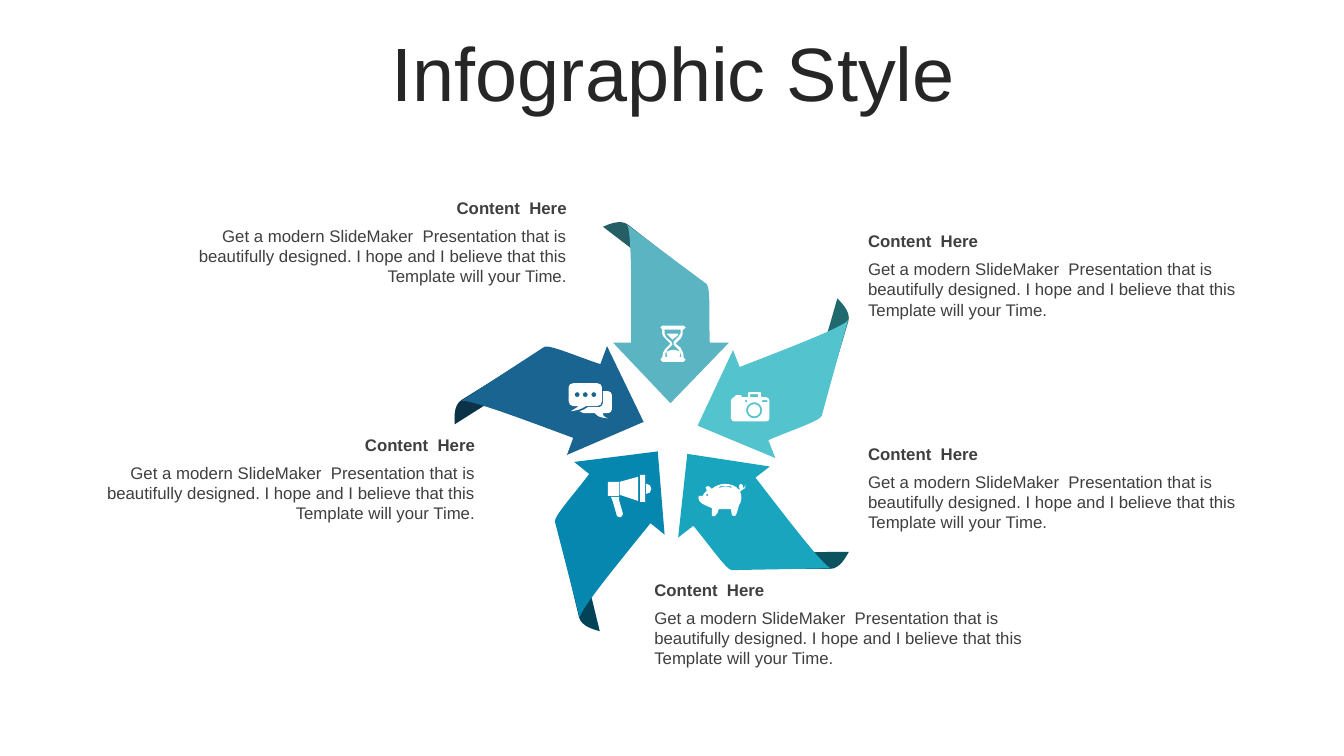
import math
from lxml import etree
from pptx import Presentation
from pptx.dml.color import RGBColor
from pptx.enum import text
from pptx.oxml.ns import qn
from pptx.util import Inches, Pt

# ---- Content ----
TITLE = "Infographic Style"
HEADING = "Content  Here"
BODY = ("Get a modern SlideMaker  Presentation that is beautifully designed. "
        "I hope and I believe that this Template will your Time.")

WHITE = RGBColor(0xFF, 0xFF, 0xFF)
TITLE_INK = RGBColor(0x26, 0x26, 0x26)
TEXT_INK = RGBColor(0x3F, 0x3F, 0x3F)
LEFT, RIGHT, CENTER = text.PP_ALIGN.LEFT, text.PP_ALIGN.RIGHT, text.PP_ALIGN.CENTER

# Left, top, width (inches) and alignment of each heading with its text
CAPTIONS = [
    (8.61, 2.24, 3.77, LEFT),
    (8.61, 4.35, 3.77, LEFT),
    (1.9, 1.91, 3.82, RIGHT),
    (0.99, 4.26, 3.82, RIGHT),
    (6.49, 5.7, 3.77, LEFT),
]

# Left, top (inches) before turning, angle, arrow colour, fold colour
VANES = [
    (6.08, 2.23, 0, RGBColor(0x5A, 0xB4, 0xC1), RGBColor(0x26, 0x5E, 0x66)),
    (7.17, 3.02, 68.6, RGBColor(0x53, 0xC3, 0xCD), RGBColor(0x20, 0x69, 0x6F)),
    (6.78, 4.32, 142.2, RGBColor(0x19, 0xA5, 0xBE), RGBColor(0x0C, 0x52, 0x5F)),
    (5.39, 4.28, 218.8, RGBColor(0x05, 0x87, 0xAF), RGBColor(0x02, 0x43, 0x57)),
    (4.98, 2.99, 290.2, RGBColor(0x19, 0x64, 0x91), RGBColor(0x0C, 0x32, 0x48)),
]


def rect(x, y, w, h):
    return [(x, y), (x + w, y), (x + w, y + h), (x, y + h)]


def circle(x, y, r):
    k = 0.55 * r
    return [(x, y - r), (x + k, y - r, x + r, y - k, x + r, y),
            (x + r, y + k, x + k, y + r, x, y + r),
            (x - k, y + r, x - r, y + k, x - r, y),
            (x - r, y - k, x - k, y - r, x, y - r)]


# Outlines in hundredths of an inch: two numbers are a point, six are a curve
PIVOT = (57.5, 88.5)
ARROW = [(14, 0), (93, 59), (97, 63, 95, 97, 96, 117), (115, 117), (57, 177),
         (0, 117), (18, 117), (18, 79, 19, 6, 14, 0)]
FOLD = [(15, 0), (7, -6, -5, 0, -10, 2), (71, 64), (92, 60)]

CHAT = [
    circle(25, 11.5, 2.5), circle(16.5, 11.5, 2.5), circle(8.5, 11.5, 2.5),
    [(34, 8), (39, 8), (41, 8, 43, 10, 43, 12), (43, 26), (43, 28, 41, 30, 39, 30),
     (34, 30), (34, 32, 34, 33, 39, 35), (31, 34, 30, 34, 26, 30), (15, 30),
     (11, 28), (14, 27, 16, 26, 19, 24), (30, 24), (32, 24, 34, 22, 34, 20)],
    [(5, 0), (28, 0), (31, 0, 33, 2, 33, 4), (33, 18), (33, 21, 31, 23, 28, 23),
     (17, 23), (12, 26, 10, 27, 2, 28), (7, 25, 7, 25, 10, 23), (5, 23),
     (2, 23, 0, 21, 0, 18), (0, 4), (0, 2, 2, 0, 5, 0)],
]
HOURGLASS = [
    [(13, 24), (15, 24, 17, 25, 19, 26), (20, 27, 20, 29, 19, 31), (7, 31),
     (6, 29, 6, 27, 6, 26), (9, 25, 11, 24, 13, 24)],
    [(6, 8), (18, 8), (17, 10), (12, 14), (8, 10)],
    [(4, 4), (4, 7, 4, 10, 6, 12), (11, 16), (12, 19), (7, 24), (5, 26, 4, 29, 5, 31),
     (21, 31), (21, 29, 20, 26, 18, 24), (13, 19), (13, 16), (18, 11),
     (20, 9, 21, 6, 20, 4)],
    [(2, 0), (23, 0), (25, 2), (23, 4), (22, 4), (23, 7, 22, 10, 20, 13), (15, 18),
     (20, 22), (22, 25, 23, 28, 23, 32), (25, 34), (23, 36), (2, 36), (0, 34),
     (2, 31), (2, 28, 3, 25, 5, 23), (10, 18), (5, 13), (2, 11, 1, 7, 2, 4), (0, 2)],
]
MEGAPHONE = [
    [(11, 22), (11, 25), (15, 39), (13, 42), (11, 42), (9, 41), (5, 27), (3, 22)],
    [(38, 9), (41, 9, 43, 11, 43, 14), (43, 17, 41, 19, 38, 19)],
    rect(0, 7, 11, 14),
    [(30, 2), (30, 26), (12, 20), (12, 7)],
    rect(32, 0, 5, 27),
]
CAMERA = [
    circle(23, 18, 6), circle(23, 18, 8),
    rect(14, 8, 2, 2), rect(31, 8, 5, 2), rect(19, 2, 8, 3),
    [(18, 0), (29, 0), (30, 1), (30, 5), (35, 5), (37, 5, 38, 7, 38, 8), (38, 26),
     (38, 28, 37, 29, 35, 29), (3, 29), (2, 29, 0, 28, 0, 26), (0, 8),
     (0, 7, 2, 5, 3, 5), (5, 3), (10, 3), (11, 5), (17, 5), (17, 1)],
]
PIGGY_BANK = [
    circle(8.5, 11, 1.3),
    [(26, 2), (24, 2, 22, 2, 20, 3), (21, 4), (24, 2, 29, 2, 32, 4), (33, 3),
     (31, 2, 29, 2, 26, 2)],
    [(26, 0), (31, 0, 37, 2, 39, 5), (41, 6), (40, 3), (40, 1, 41, 0, 42, 0),
     (44, 0, 44, 2, 44, 4), (45, 4, 46, 4, 46, 0), (47, 4, 46, 5, 43, 6), (41, 8),
     (42, 10), (43, 15, 42, 19, 40, 21), (39, 26, 38, 28, 37, 31),
     (37, 32, 33, 32, 33, 31), (33, 29, 32, 27, 32, 25), (28, 25, 23, 25, 20, 25),
     (20, 28, 18, 30, 16, 32), (13, 32), (13, 24), (8, 22, -2, 19, 0, 12), (4, 12),
     (5, 10, 6, 8, 8, 7), (7, 3), (11, 1, 11, 4, 13, 5), (16, 2, 22, 0, 26, 0)],
]
ICONS = [(5.64, 3.8, CHAT), (6.55, 3.23, HOURGLASS), (6.03, 4.71, MEGAPHONE),
         (7.25, 3.89, CAMERA), (6.93, 4.8, PIGGY_BANK)]


# ---- Drawing helpers ----
def add_outline(left, top, contours, color):
    def place(x, y):
        return Inches(left + x / 100), Inches(top + y / 100)

    builder = slide.shapes.build_freeform(*place(*contours[0][0]))
    for i, contour in enumerate(contours):
        if i:
            builder.move_to(*place(*contour[0]))
        builder.add_line_segments([place(*seg[-2:]) for seg in contour[1:]], close=True)
    sp = builder.convert_to_shape()

    # Bend the segments that have control points
    segments = [seg for contour in contours for seg in contour[1:]]
    for line, seg in zip(list(sp.element.iter(qn("a:lnTo"))), segments):
        if len(seg) == 6:
            line.tag = qn("a:cubicBezTo")
            for n in (0, 1):
                x, y = place(*seg[2 * n:2 * n + 2])
                line.insert(n, etree.Element(qn("a:pt"), x=str(x - sp.left),
                                             y=str(y - sp.top)))
    sp.shadow.inherit = False
    sp.fill.solid()
    sp.fill.fore_color.rgb = color
    sp.line.fill.background()
    return sp


def turn(sp, x, y, angle):
    """Turn a shape about the point x, y."""
    dx, dy = sp.left + sp.width / 2 - x, sp.top + sp.height / 2 - y
    c, s = math.cos(math.radians(angle)), math.sin(math.radians(angle))
    sp.left = round(x + dx * c - dy * s - sp.width / 2)
    sp.top = round(y + dx * s + dy * c - sp.height / 2)
    sp.rotation = angle


def write(sp, words, size=12, color=TEXT_INK, bold=False, align=LEFT,
          anchor=text.MSO_ANCHOR.TOP, inset=0.0, spacing=1.0):
    tf = sp.text_frame
    tf.word_wrap, tf.auto_size = True, text.MSO_AUTO_SIZE.NONE
    tf.vertical_anchor = anchor
    tf.margin_left, tf.margin_right = Inches(inset), Inches(0.1)
    tf.margin_top = tf.margin_bottom = Inches(0.05)
    p = tf.paragraphs[0]
    p.alignment, p.line_spacing = align, spacing
    r = p.add_run()
    r.text = words
    r.font.name, r.font.size, r.font.bold = "Arial", Pt(size), bold
    r.font.color.rgb = color


# ---- Slide ----
prs = Presentation()
prs.slide_width, prs.slide_height = Inches(13.33), Inches(7.5)
slide = prs.slides.add_slide(prs.slide_layouts[5])
MIDDLE = text.MSO_ANCHOR.MIDDLE

title = slide.shapes.title
title.left, title.top, title.width, title.height = map(Inches, (0.35, 0.37, 12.66, 0.79))
write(title, TITLE, size=54, color=TITLE_INK, align=CENTER, anchor=MIDDLE,
      inset=0.1, spacing=0.9)

# Pinwheel
for left, top, angle, arrow_color, fold_color in VANES:
    x, y = Inches(left + PIVOT[0] / 100), Inches(top + PIVOT[1] / 100)
    for outline, color in ((FOLD, fold_color), (ARROW, arrow_color)):
        turn(add_outline(left, top, [outline], color), x, y, angle)

# Captions
for left, top, width, align in CAPTIONS:
    box = slide.shapes.add_textbox(*map(Inches, (left, top, width, 0.3)))
    write(box, HEADING, bold=True, align=align, anchor=MIDDLE)
    box = slide.shapes.add_textbox(*map(Inches, (left, top + 0.28, width, 0.71)))
    write(box, BODY, align=align)

# Icons
for left, top, contours in ICONS:
    add_outline(left, top, contours, WHITE)

prs.save("out.pptx")
